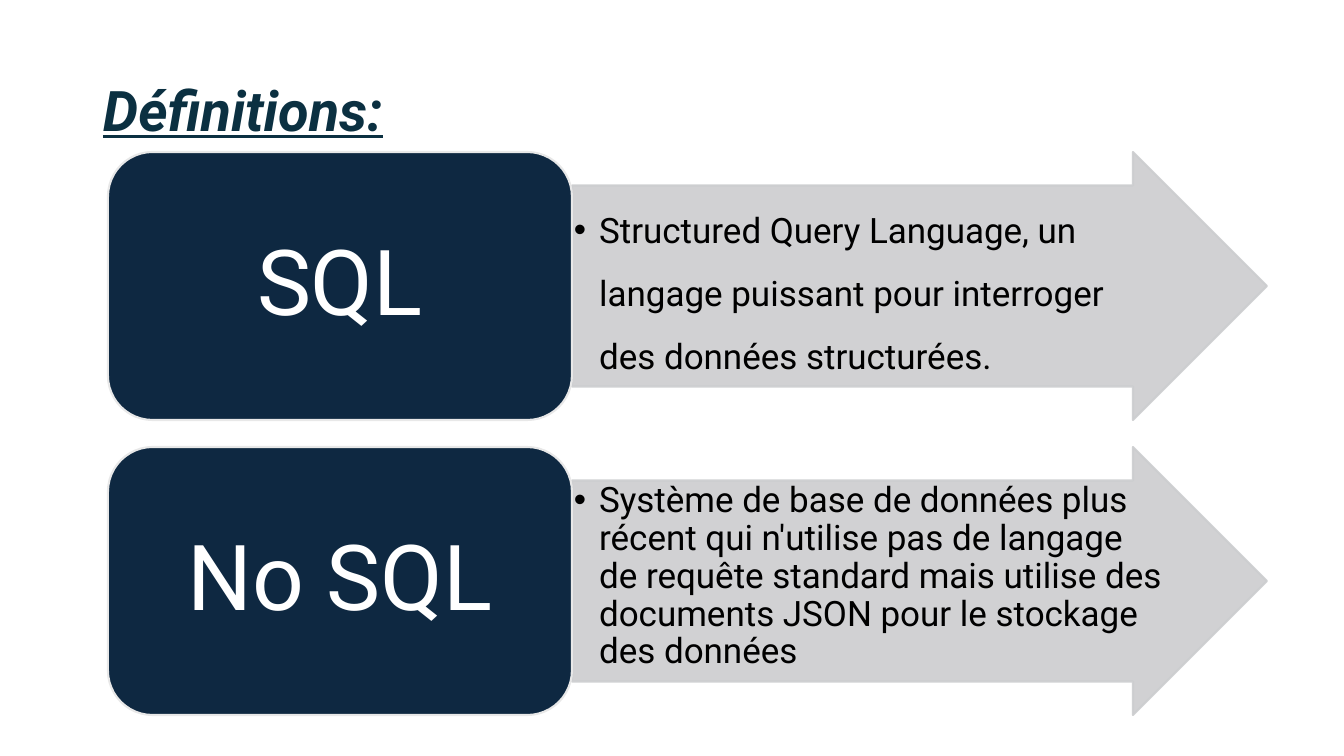
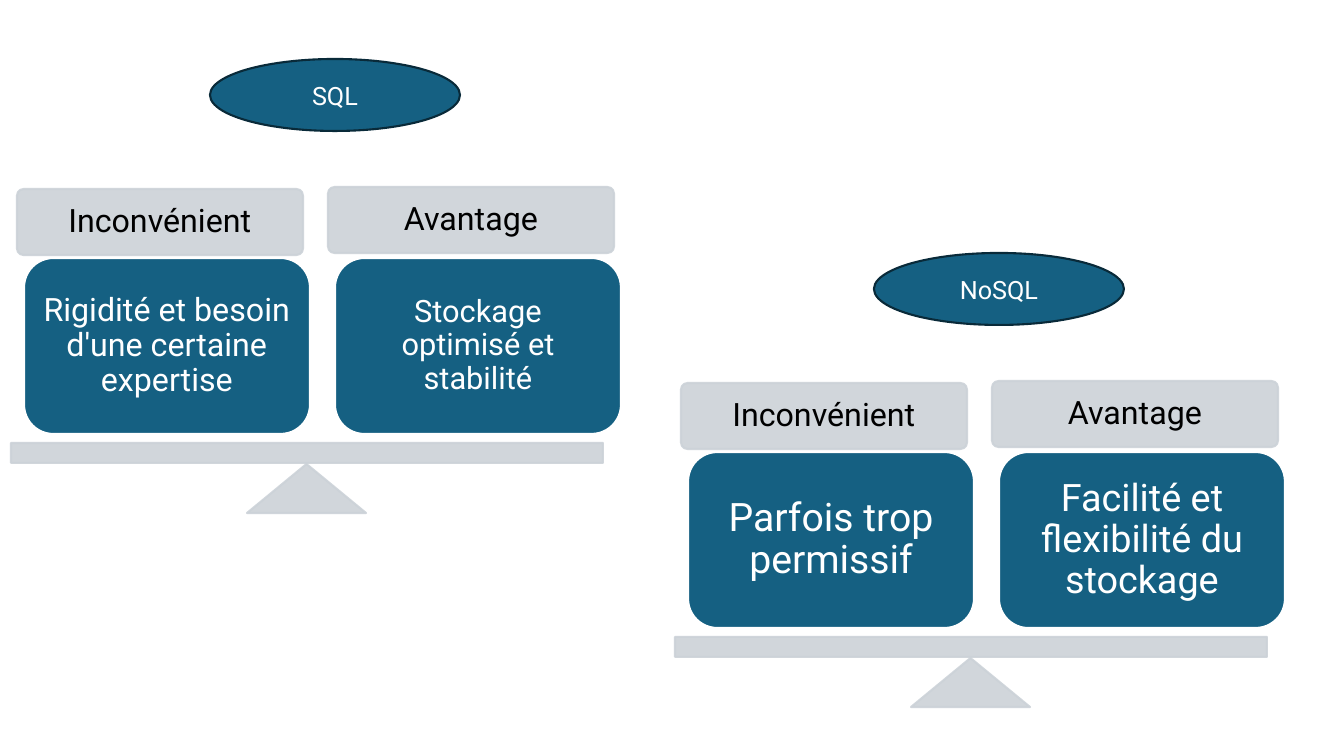
import pptx
import pptx.util
import pptx.dml.color
import pptx.enum.shapes
import pptx.enum.text
import pptx.oxml.ns
import lxml.etree

PX = 914400 / 100.8
HUES = {
    "title": "0B3041", "navy": "0E2841", "edge": "E8E8E8", "arrow": "CCCDCF",
    "pale": "CCD2D8", "blue": "156082", "rim": "092A39",
    "white": "FFFFFF", "black": "000000",
}
FONT = "Roboto"
KIND = pptx.enum.shapes.MSO_SHAPE
ALIGN = pptx.enum.text.PP_ALIGN
MID = pptx.enum.text.MSO_ANCHOR.MIDDLE
TOP = pptx.enum.text.MSO_ANCHOR.TOP
qn = pptx.oxml.ns.qn


def draw(slide, kind, box, fill, line, alpha=None, adjust=()):
    shape = slide.shapes.add_shape(kind, *[round(n * PX) for n in box])
    shape.shadow.inherit = False
    for i, value in enumerate(adjust):
        shape.adjustments[i] = value
    shape.line.width = pptx.util.Pt(1.5)
    for paint, hue in ((shape.fill, fill), (shape.line.fill, line)):
        paint.solid()
        paint.fore_color.rgb = pptx.dml.color.RGBColor.from_string(HUES[hue])
    if alpha:
        for solid in shape._element.spPr.iter(qn("a:solidFill")):
            lxml.etree.SubElement(solid[0], qn("a:alpha"), val=str(alpha * 1000))
    return shape


def write(shape, text, size, hue, pad=(10, 5), space=0.9, align=ALIGN.CENTER, anchor=MID):
    frame = shape.text_frame
    frame.word_wrap = True
    frame.vertical_anchor = anchor
    frame.margin_left = frame.margin_right = round(pad[0] * PX)
    frame.margin_top = frame.margin_bottom = round(pad[1] * PX)
    para = frame.paragraphs[0]
    para.alignment = align
    para.line_spacing = space
    run = para.add_run()
    run.text = text
    run.font.name = FONT
    run.font.size = pptx.util.Pt(size)
    run.font.color.rgb = pptx.dml.color.RGBColor.from_string(HUES[hue])
    return para


deck = pptx.Presentation()
deck.slide_width = round(1344 * PX)
deck.slide_height = round(756 * PX)

# Slide 1: title
slide = deck.slides.add_slide(deck.slide_layouts[5])
title = slide.shapes.title
title.left, title.top, title.width, title.height = [
    round(n * PX) for n in (93, 40, 1159, 146)]
title.text_frame.auto_size = pptx.enum.text.MSO_AUTO_SIZE.NONE
font = write(title, "Définitions:", 40, "title", align=ALIGN.LEFT).runs[0].font
font.bold = font.italic = font.underline = True

# Slide 1: each term with its definition in an arrow
terms = [
    ("SQL", 1.5, "Structured Query Language, un langage puissant pour "
     "interroger des données structurées."),
    ("No SQL", 0.9, "Système de base de données plus récent qui n'utilise pas "
     "de langage de requête standard mais utilise des documents JSON pour le "
     "stockage des données"),
]
for row, (term, space, text) in enumerate(terms):
    top = 152 + row * 295
    arrow = draw(slide, KIND.RIGHT_ARROW, (572, top, 695, 268),
                 "arrow", "arrow", 90, (0.75, 0.5))
    para = write(arrow, text, 25, "black", (2, 2), space, ALIGN.LEFT, TOP)
    props = para._p.get_or_add_pPr()
    props.set("marL", "228600")
    props.set("indent", "-228600")
    lxml.etree.SubElement(props, qn("a:buFont"), typeface="Arial")
    lxml.etree.SubElement(props, qn("a:buChar"), char="•")
    box = draw(slide, KIND.ROUNDED_RECTANGLE, (108, top, 464, 268), "navy", "edge")
    write(box, term, 65, "white", (27, 14))

# Slide 2: two scales, the second one shifted right and down
slide = deck.slides.add_slide(deck.slide_layouts[6])
scales = [
    (0, 0, "SQL", [("Rigidité et besoin d'une certaine expertise", 23),
                   ("Stockage optimisé et stabilité", 22)]),
    (664, 194, "NoSQL", [("Parfois trop permissif", 28),
                         ("Facilité et flexibilité du stockage", 27)]),
]
heads = ["Inconvénient", "Avantage"]
for x, y, name, sides in scales:
    # Pans: heading above, weight below
    for col, (head, (text, size)) in enumerate(zip(heads, sides)):
        left = x + col * 311
        label = draw(slide, KIND.ROUNDED_RECTANGLE,
                     (left + 17, y + 189 - col * 2, 286, 66),
                     "pale", "pale", 90, (0.1,))
        write(label, head, 23, "black", (10, 10))
        weight = draw(slide, KIND.ROUNDED_RECTANGLE,
                      (left + 24, y + 258, 286, 176), "blue", "white")
        pad = round(size * 0.42)
        write(weight, text, size, "white", (pad, pad))

    # Pivot and beam
    draw(slide, KIND.ISOSCELES_TRIANGLE, (x + 247, y + 464, 119, 49), "pale", "pale", 90)
    draw(slide, KIND.RECTANGLE, (x + 11, y + 443, 592, 20), "pale", "pale", 90)

    # Name of the database family
    oval = draw(slide, KIND.OVAL, (x + 210, y + 59, 250, 72), "blue", "rim")
    write(oval, name, 18, "white", space=1.0)

deck.save("out.pptx")
